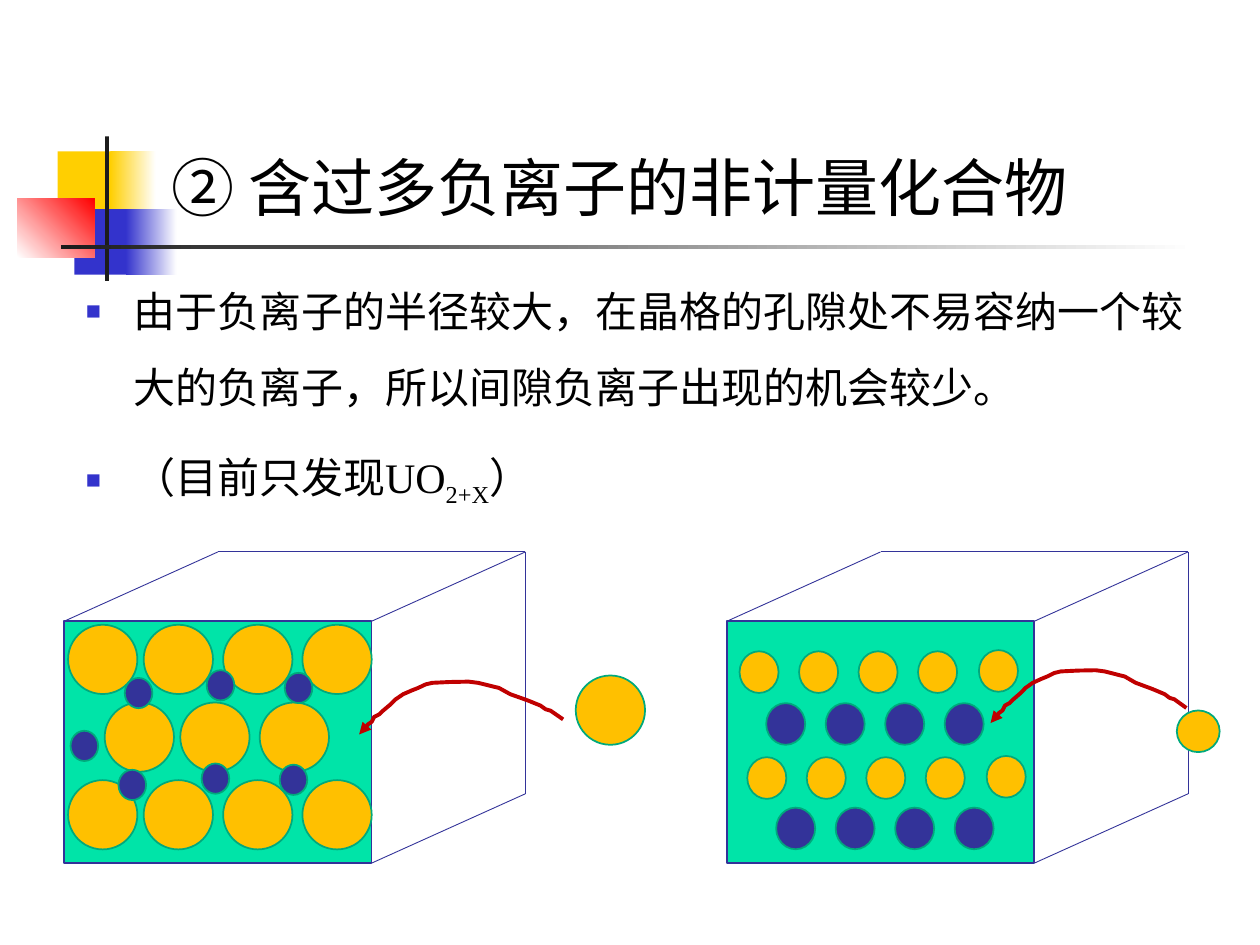
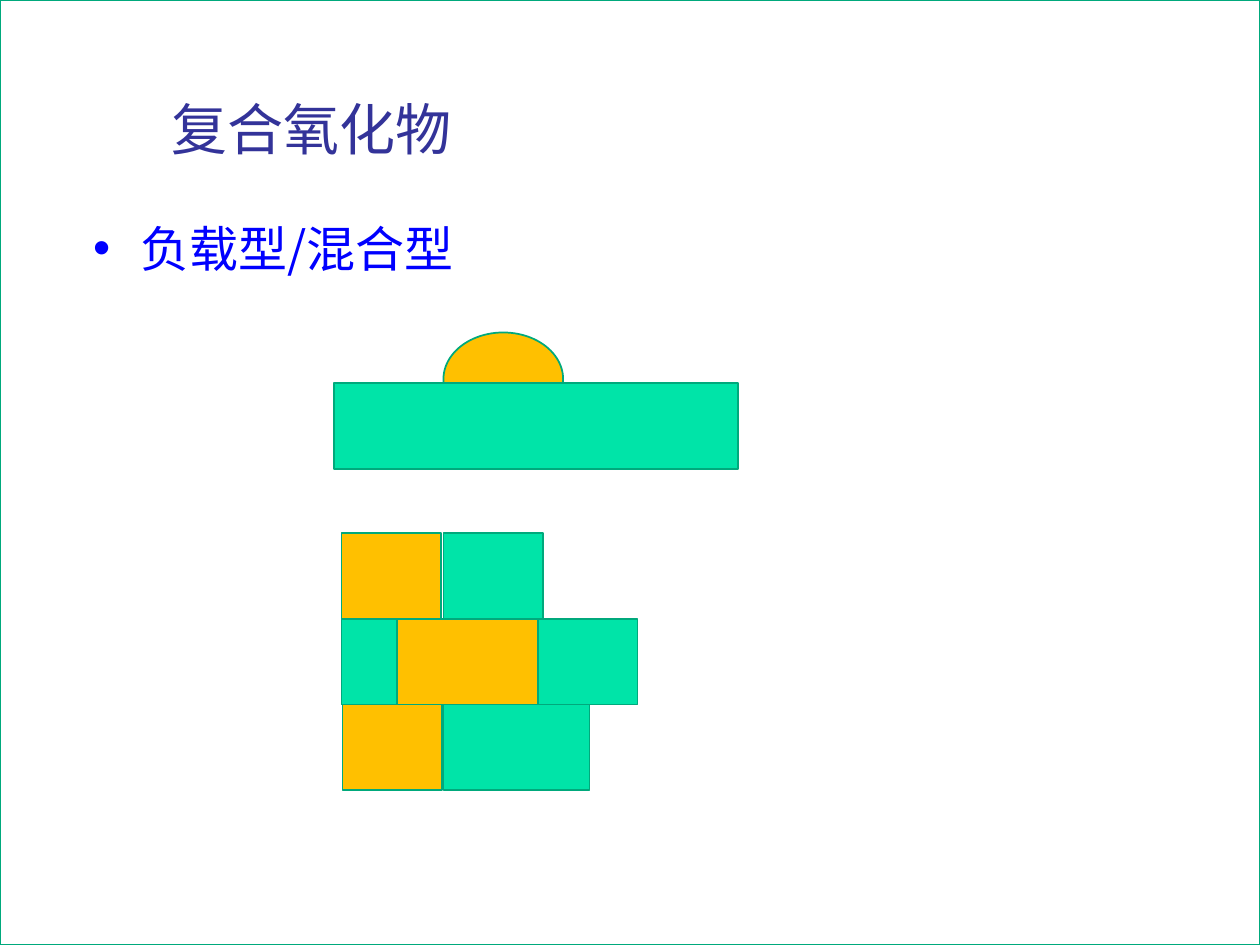
from dataclasses import dataclass

from lxml.etree import SubElement
from pptx import Presentation
from pptx.dml.color import RGBColor
from pptx.enum.shapes import MSO_CONNECTOR, MSO_SHAPE
from pptx.enum.text import MSO_ANCHOR, MSO_AUTO_SIZE, PP_ALIGN
from pptx.oxml.ns import qn
from pptx.util import Pt

BLACK, WHITE, CHARCOAL = "000000", "FFFFFF", "1C1C1C"
GOLD, BLUE, RED = "FFCF01", "3333CC", "FF0000"
GREEN, EDGE, ORANGE, NAVY = "00E4A8", "00A97C", "FFC000", "333399"
ARROW_RED, LIST_BLUE = "C00000", "0000FF"
CJK, LATIN = "Noto Sans CJK SC", "Times New Roman"

RECT, OVAL = MSO_SHAPE.RECTANGLE, MSO_SHAPE.OVAL


@dataclass(frozen=True)
class Block:
    left: float
    top: float
    width: float
    height: float
    fill: str
    fade_to: str | None = None
    angle: float = 0
    line: str | None = EDGE
    kind: MSO_SHAPE = RECT


@dataclass(frozen=True)
class ListStyle:
    size: float
    latin: str
    color: str
    bullet: str
    bullet_color: str
    bullet_percent: int = 100
    line_spacing: float = 1.0


@dataclass(frozen=True)
class Ion:
    width: float
    height: float
    fill: str


def band(left, top, width, height, fill, fade_to=None, angle=0) -> Block:
    return Block(left, top, width, height, fill, fade_to, angle, line=None)


TITLE_BANDS = [
    band(33, 86.5, 34.5, 37.5, GOLD),
    band(63, 86.5, 26, 37.5, GOLD, WHITE),
    band(42.5, 119.5, 33, 37.5, BLUE),
    band(72, 119.5, 29, 37.5, BLUE, WHITE),
    band(10, 113.5, 44, 33.5, WHITE, RED, 45),
    band(60, 78, 2.3, 82.5, CHARCOAL),
    band(35, 140, 648, 2.5, CHARCOAL, WHITE),
]

CELL_TOP, CELL_WIDTH, CELL_HEIGHT = 355, 175.7, 138.2
DEPTH_X, DEPTH_Y = 87.8, -39.6

ANION = Ion(39.6, 39.6, ORANGE)
SMALL_CATION = Ion(15.8, 17.3, NAVY)
LATTICE_ANION = Ion(22.3, 23.8, ORANGE)
LATTICE_CATION = Ion(22.3, 23.8, NAVY)
EXTRA_ANION = Ion(24.5, 23.8, ORANGE)

ANION_COLUMNS = (0, 43.2, 88.6, 133.9)
ANION_ROWS = [(38.9, 4), (59.8, 3), (38.9, 4)]
ANION_TOP, ANION_PITCH = 357, 44.4
GAP_CATIONS = [(71.3, 387.4), (118.1, 383), (162.7, 384.5), (40.3, 417.6),
               (67.7, 439.9), (115.2, 436.3), (159.8, 437)]

LATTICE_PITCH, LATTICE_COUNT = 34, 4
LATTICE_ROWS = [(422.6, 372.2, LATTICE_ANION), (437.8, 401.8, LATTICE_CATION),
                (427, 432.7, LATTICE_ANION), (443.5, 461.5, LATTICE_CATION)]
ROW_END_ANIONS = [(559.4, 371.5), (563.8, 432)]

# Offsets from the top left corner of the arrow's path
ENTRY_PATH = [
    (116.6, 21.6), (109.4, 16.6), (106.6, 15.8), (103.7, 13.7), (96.5, 10.8),
    (86.4, 7.2), (79.9, 3.6), (77, 2.9), (74.2, 2.2), (68, 0.7), (62.6, 0),
    (52, 0.2), (41.8, 0.7), (38, 1.6), (33.8, 3.6), (30.2, 5), (25.2, 7.2),
    (20.9, 10.1), (18, 13), (13.7, 16.6), (11.5, 18.7), (8.6, 20.2),
    (7.2, 23), (5, 24.5), (2.9, 27.4), (0, 30.2),
]

ROW_TOP, ROW_HEIGHT = 304.6, 49
MIXED_ROWS = [
    [(195.1, 56.9, ORANGE), (253.4, 56.9, GREEN)],
    [(195.1, 56.9, GREEN), (226.8, 83.5, ORANGE), (307.4, 56.9, GREEN)],
    [(195.8, 56.9, ORANGE), (253.4, 83.5, GREEN)],
]


def rgb(value: str) -> RGBColor:
    return RGBColor.from_string(value)


def draw_block(slide, block: Block):
    shape = slide.shapes.add_shape(block.kind, Pt(block.left), Pt(block.top),
                                   Pt(block.width), Pt(block.height))
    shape.shadow.inherit = False
    if block.fade_to:
        shape.fill.gradient()
        shape.fill.gradient_angle = block.angle
        for stop, color in zip(shape.fill.gradient_stops, (block.fill, block.fade_to)):
            stop.color.rgb = rgb(color)
        stop.position = 1
    else:
        shape.fill.solid()
        shape.fill.fore_color.rgb = rgb(block.fill)
    if block.line:
        shape.line.color.rgb = rgb(block.line)
        shape.line.width = Pt(1)
    else:
        shape.line.fill.background()
    return shape


def draw_behind(slide, blocks: list[Block]) -> None:
    for position, block in enumerate(blocks, start=2):
        slide.shapes._spTree.insert(position, draw_block(slide, block)._element)


def draw_ion(slide, ion: Ion, left: float, top: float) -> None:
    draw_block(slide, Block(left, top, ion.width, ion.height, ion.fill, kind=OVAL))


def draw_edge(slide, start: tuple[float, float], end: tuple[float, float]) -> None:
    edge = slide.shapes.add_connector(MSO_CONNECTOR.STRAIGHT,
                                      *(Pt(value) for value in (*start, *end)))
    edge.line.color.rgb = rgb(NAVY)
    edge.line.width = Pt(0.5)
    SubElement(edge._element.spPr, qn("a:effectLst"))


def draw_cell(slide, left: float) -> None:
    """Draw a crystal cell: a filled front face and the visible edges behind it."""
    draw_block(slide, Block(left, CELL_TOP, CELL_WIDTH, CELL_HEIGHT, GREEN, line=NAVY))
    right, bottom = left + CELL_WIDTH, CELL_TOP + CELL_HEIGHT
    front = [(left, CELL_TOP), (right, CELL_TOP), (right, bottom)]
    back = [(x + DEPTH_X, y + DEPTH_Y) for x, y in front]
    for start, end in [*zip(front, back), *zip(back, back[1:])]:
        draw_edge(slide, start, end)


def draw_entry_arrow(slide, left: float, top: float, stretch: float = 1) -> None:
    points = [(Pt(left + x * stretch), Pt(top + y)) for x, y in ENTRY_PATH]
    builder = slide.shapes.build_freeform(*points[0])
    builder.add_line_segments(points[1:], close=False)
    arrow = builder.convert_to_shape()
    arrow.shadow.inherit = False
    arrow.fill.background()
    arrow.line.color.rgb = rgb(ARROW_RED)
    arrow.line.width = Pt(2.25)
    SubElement(arrow.line._get_or_add_ln(), qn("a:tailEnd"), type="triangle")


def format_run(run, size: float, latin: str, color: str) -> None:
    run.font.size = Pt(size)
    run.font.name = latin
    run.font.color.rgb = rgb(color)
    SubElement(run._r.get_or_add_rPr(), qn("a:ea"), typeface=CJK)


def place(placeholder, left: float, top: float, width: float, height: float):
    """Move a placeholder and return its text frame."""
    placeholder.left, placeholder.top = Pt(left), Pt(top)
    placeholder.width, placeholder.height = Pt(width), Pt(height)
    frame = placeholder.text_frame
    frame.word_wrap = True
    frame.auto_size = MSO_AUTO_SIZE.NONE
    return frame


def write_title(slide, text: str, height: float, size: float, color: str) -> None:
    frame = place(slide.shapes.title, 90.7, 16.6, 613.4, height)
    frame.text = text
    frame.vertical_anchor = MSO_ANCHOR.BOTTOM
    heading = frame.paragraphs[0]
    heading.alignment = PP_ALIGN.LEFT
    format_run(heading.runs[0], size, CJK, color)


def format_list(frame, style: ListStyle) -> None:
    for number, item in enumerate(frame.paragraphs):
        properties = item._p.get_or_add_pPr()
        properties.set("marL", str(Pt(27)))
        properties.set("indent", str(-Pt(27)))
        bullet_color = SubElement(properties, qn("a:buClr"))
        SubElement(bullet_color, qn("a:srgbClr"), val=style.bullet_color)
        SubElement(properties, qn("a:buSzPct"), val=str(style.bullet_percent * 1000))
        SubElement(properties, qn("a:buChar"), char=style.bullet)
        item.line_spacing = style.line_spacing
        item.space_before = Pt(6 if number else 0)
        for run in item.runs:
            format_run(run, style.size, style.latin, style.color)


def build_excess_anion_slide(slide) -> None:
    draw_behind(slide, TITLE_BANDS)
    write_title(slide, "② 含过多负离子的非计量化合物", 115.2, 36, BLACK)

    frame = place(slide.placeholders[1], 41.8, 145.4, 662.4, 150.5)
    frame.text = ("由于负离子的半径较大，在晶格的孔隙处不易容纳一个较大的负离子，"
                  "所以间隙负离子出现的机会较少。\n（目前只发现UO")
    formula = frame.paragraphs[1]
    subscript, closing = formula.add_run(), formula.add_run()
    subscript.text, closing.text = "2+X", "）"
    subscript._r.get_or_add_rPr().set("baseline", "-25000")
    format_list(frame, ListStyle(24, LATIN, BLACK, "■", BLUE, 60, 1.5))

    draw_cell(slide, 36.7)
    for row, (left, count) in enumerate(ANION_ROWS):
        for column in ANION_COLUMNS[:count]:
            draw_ion(slide, ANION, left + column, ANION_TOP + row * ANION_PITCH)
    for left, top in GAP_CATIONS:
        draw_ion(slide, SMALL_CATION, left, top)
    draw_ion(slide, ANION, 329, 386)
    draw_entry_arrow(slide, 205.2, 389.5)

    draw_cell(slide, 415.4)
    for left, top, ion in LATTICE_ROWS:
        for column in range(LATTICE_COUNT):
            draw_ion(slide, ion, left + column * LATTICE_PITCH, top)
    for left, top in ROW_END_ANIONS:
        draw_ion(slide, LATTICE_ANION, left, top)
    draw_ion(slide, EXTRA_ANION, 672.5, 406)
    draw_entry_arrow(slide, 566, 383, 0.96)


def build_mixed_oxide_slide(slide) -> None:
    draw_behind(slide, [Block(0, 0, 720, 540, WHITE)])
    write_title(slide, "复合氧化物", 79.2, 32, NAVY)

    frame = place(slide.placeholders[1], 46, 121, 648, 75.6)
    frame.text = "负载型/混合型"
    format_list(frame, ListStyle(28, CJK, LIST_BLUE, "•", LIST_BLUE))

    draw_block(slide, Block(253.4, 190, 68.4, 53.3, ORANGE, kind=OVAL))
    draw_block(slide, Block(190.8, 219, 230.9, ROW_HEIGHT, GREEN))
    for row, grains in enumerate(MIXED_ROWS):
        for left, width, fill in grains:
            draw_block(slide, Block(left, ROW_TOP + row * ROW_HEIGHT,
                                    width, ROW_HEIGHT, fill))


def main() -> None:
    presentation = Presentation()
    presentation.slide_width, presentation.slide_height = Pt(720), Pt(540)
    title_and_content = presentation.slide_layouts[1]
    for build in (build_excess_anion_slide, build_mixed_oxide_slide):
        build(presentation.slides.add_slide(title_and_content))
    presentation.save("out.pptx")


if __name__ == "__main__":
    main()
